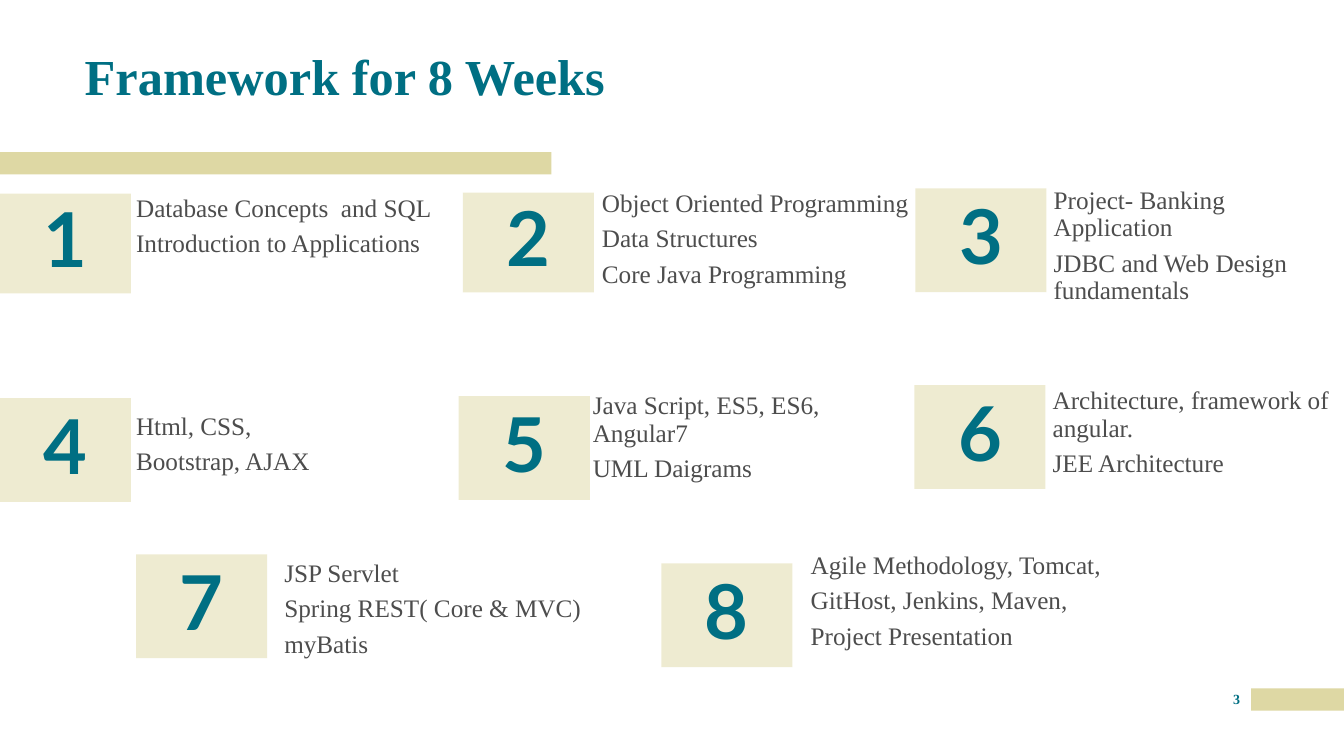
from dataclasses import dataclass

from lxml import etree
from pptx import Presentation
from pptx import util as u
from pptx.dml.color import RGBColor
from pptx.enum import shapes, text
from pptx.oxml.ns import qn


@dataclass(frozen=True)
class Theme:
    teal: str = "006F83"
    sand: str = "DED8A4"
    gray: str = "4D4D4D"
    serif: str = "Times New Roman"
    sans: str = "Lato"
    title_size: int = 36
    number_size: int = 54
    topic_size: int = 18
    page_size: int = 10


THEME = Theme()
BADGE_WIDTH = 1.3

# Each week: badge (left, top, height), topic box (left, top, width, height), topics
WEEKS = [
    ((0, 1.92, 0.99), (1.35, 1.94, 3.22, 0.97),
     ["Database Concepts  and SQL", "Introduction to Applications"]),
    ((4.59, 1.91, 0.99), (5.97, 1.89, 3.2, 1.01),
     ["Object Oriented Programming", "Data Structures", "Core Java Programming"]),
    ((9.08, 1.87, 1.03), (10.45, 1.86, 2.88, 1.01),
     ["Project- Banking Application", "JDBC and Web Design fundamentals"]),
    ((0, 3.95, 1.03), (1.35, 4.1, 3.2, 1.24),
     ["Html, CSS,", "Bootstrap, AJAX"]),
    ((4.55, 3.93, 1.03), (5.88, 3.9, 3.2, 1.24),
     ["Java Script, ES5, ES6, Angular7", "UML Daigrams"]),
    ((9.07, 3.82, 1.03), (10.44, 3.85, 2.89, 1.24),
     ["Architecture, framework of angular.", "JEE Architecture"]),
    ((1.35, 5.5, 1.03), (2.82, 5.56, 3.2, 1.24),
     ["JSP Servlet", "Spring REST( Core & MVC)", "myBatis"]),
    ((6.56, 5.59, 1.03), (8.04, 5.48, 4.12, 1.34),
     ["Agile Methodology, Tomcat,", "GitHost, Jenkins, Maven,", "Project Presentation"]),
]


def inches(box):
    return [u.Inches(value) for value in box]


def write(sp, lines, size, color, font=THEME.serif, bold=False, align=text.PP_ALIGN.LEFT,
          anchor=text.MSO_ANCHOR.TOP, before=0, spacing=0.9):
    """Fill a shape with one paragraph per line, without inner margins."""
    tf = sp.text_frame
    tf.word_wrap = True
    tf.auto_size = text.MSO_AUTO_SIZE.NONE
    tf.vertical_anchor = anchor
    tf.margin_left = tf.margin_top = tf.margin_right = tf.margin_bottom = 0
    for i, line in enumerate(lines):
        p = tf.add_paragraph() if i else tf.paragraphs[0]
        p.alignment = align
        p.line_spacing = spacing
        p.space_before = u.Pt(before)
        r = p.add_run()
        r.text = line
        r.font.name = font
        r.font.size = u.Pt(size)
        r.font.bold = bold
        r.font.color.rgb = RGBColor.from_string(color)


def add_block(s, box, opacity=100):
    """Add a borderless sand rectangle; opacity is in percent."""
    sp = s.shapes.add_shape(shapes.MSO_SHAPE.RECTANGLE, *inches(box))
    sp.shadow.inherit = False
    sp.fill.solid()
    sp.fill.fore_color.rgb = RGBColor.from_string(THEME.sand)
    sp.line.fill.background()
    if opacity < 100:
        color = next(sp.element.spPr.iter(qn("a:srgbClr")))
        etree.SubElement(color, qn("a:alpha")).set("val", str(opacity * 1000))
    return sp


def add_title(s, title):
    sp = s.shapes.title
    sp.left, sp.top, sp.width, sp.height = inches((0.84, 0.34, 8.53, 1.26))
    write(sp, [title], THEME.title_size, THEME.teal, bold=True)
    sp.text_frame.margin_top = u.Inches(0.18)


def add_week(s, number, badge, topic_box, topics):
    left, top, height = badge
    sp = add_block(s, (left, top, BADGE_WIDTH, height), opacity=50)
    write(sp, [str(number)], THEME.number_size, THEME.teal, THEME.sans, bold=True,
          align=text.PP_ALIGN.CENTER, anchor=text.MSO_ANCHOR.MIDDLE, before=10)
    sp = s.shapes.add_textbox(*inches(topic_box))
    write(sp, topics, THEME.topic_size, THEME.gray, before=6)


def add_page_number(s, number):
    sp = s.shapes.add_textbox(*inches((12.12, 6.85, 0.29, 0.25)))
    write(sp, [str(number)], THEME.page_size, THEME.teal, bold=True,
          align=text.PP_ALIGN.CENTER, spacing=1.0)


def main():
    prs = Presentation()
    prs.slide_width, prs.slide_height = inches((13.33, 7.5))
    s = prs.slides.add_slide(prs.slide_layouts[5])
    add_block(s, (12.41, 6.83, 0.92, 0.22))
    add_block(s, (0, 1.51, 5.47, 0.22))
    add_title(s, "Framework for 8 Weeks")
    for number, week in enumerate(WEEKS, start=1):
        add_week(s, number, *week)
    add_page_number(s, 3)
    prs.save("out.pptx")


if __name__ == "__main__":
    main()
